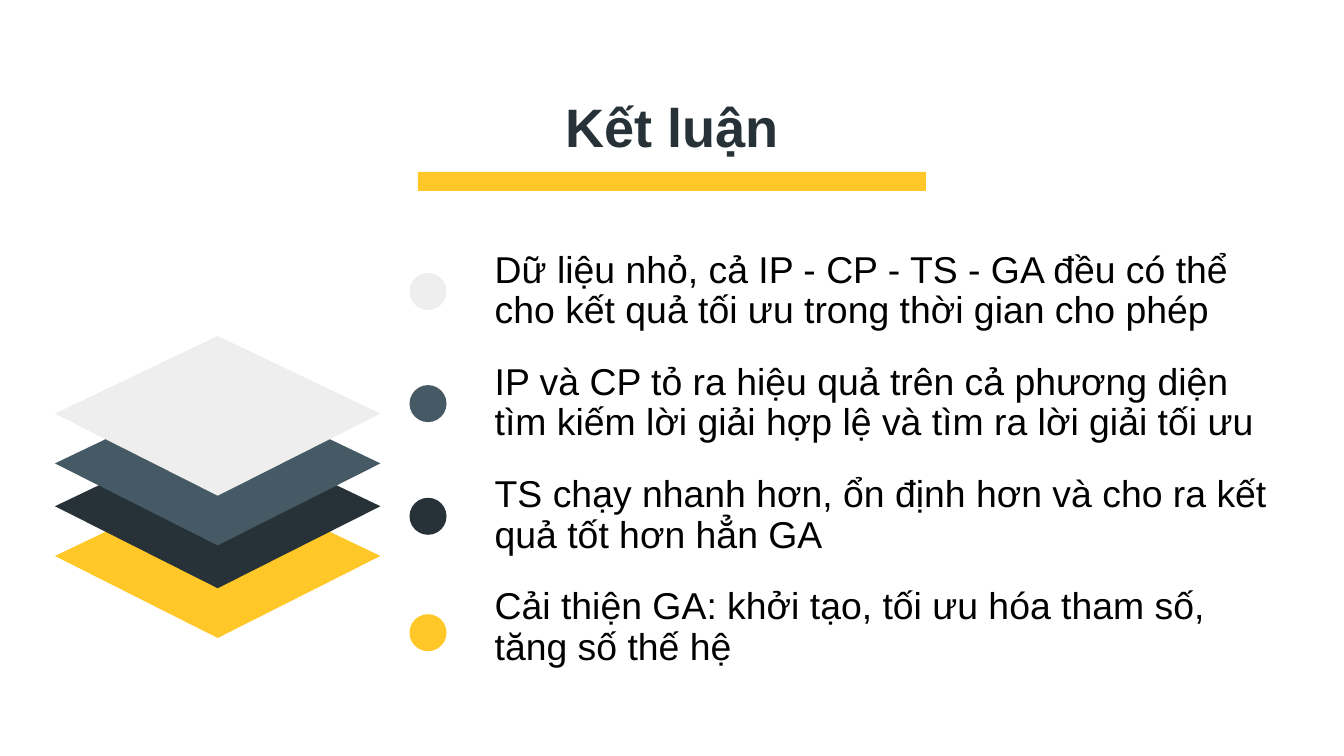
"""Build the conclusion slide: a stack of four layers with four findings."""
from dataclasses import dataclass

from pptx import Presentation
from pptx.dml.color import RGBColor
from pptx.enum.shapes import MSO_SHAPE
from pptx.enum.text import MSO_ANCHOR, MSO_AUTO_SIZE, PP_ALIGN
from pptx.util import Cm, Pt

RECT, OVAL = MSO_SHAPE.RECTANGLE, MSO_SHAPE.OVAL
MIDDLE, NO_FIT = MSO_ANCHOR.MIDDLE, MSO_AUTO_SIZE.NONE
LEFT, CENTER = PP_ALIGN.LEFT, PP_ALIGN.CENTER
TITLE_ONLY = 5


@dataclass(frozen=True)
class Theme:
    """Colours, font and type sizes of the slide."""
    font: str = "Arial"
    title_size: int = 29
    body_size: int = 20
    black: str = "000000"
    dark: str = "263238"
    slate: str = "455A64"
    light: str = "EEEEEE"
    yellow: str = "FFC727"


THEME = Theme()
TEXT_TOP, TEXT_STEP = 4.57, 2.12
ITEMS = [
    (THEME.light, 6.35, 5.16,
     "Dữ liệu nhỏ, cả IP - CP - TS - GA đều có thể cho kết quả tối ưu trong thời gian cho phép"),
    (THEME.slate, 7.29, 7.28,
     "IP và CP tỏ ra hiệu quả trên cả phương diện tìm kiếm lời giải hợp lệ và tìm ra lời giải tối ưu"),
    (THEME.dark, 8.1, 9.41,
     "TS chạy nhanh hơn, ổn định hơn và cho ra kết quả tốt hơn hẳn GA"),
    (THEME.yellow, 9.04, 11.61,
     "Cải thiện GA: khởi tạo, tối ưu hóa tham số, tăng số thế hệ"),
]


def apply(obj, formats):
    """Set each attribute named in formats on obj."""
    for name, value in formats.items():
        setattr(obj, name, value)


def paint(sp, color):
    """Give a shape a plain fill without line or shadow."""
    sp.shadow.inherit = False
    sp.fill.solid()
    sp.fill.fore_color.rgb = RGBColor.from_string(color)
    sp.line.fill.background()


def add_shape(s, kind, box, color):
    """Add a filled preset shape; box is in centimetres."""
    paint(s.shapes.add_shape(kind, *map(Cm, box)), color)


def add_layer(s, top, color):
    """Add one diamond layer of the stack."""
    left, width, shoulder, height = 1.04, 6.15, 1.47, 3.02
    middle = left + width / 2
    points = [(middle, top), (left, top + shoulder),
              (middle, top + height), (left + width, top + shoulder)]
    start, *rest = [(Cm(x), Cm(y)) for x, y in points]
    builder = s.shapes.build_freeform(*start)
    builder.add_line_segments(rest, close=True)
    paint(builder.convert_to_shape(), color)


def write(sp, text, paragraph, font, color):
    """Fill a text shape with one formatted paragraph."""
    tf = sp.text_frame
    inset = Cm(0.25)
    apply(tf, {"word_wrap": True, "auto_size": NO_FIT, "vertical_anchor": MIDDLE,
               "margin_left": inset, "margin_right": inset,
               "margin_top": inset, "margin_bottom": inset})
    p = tf.paragraphs[0]
    apply(p, paragraph)
    r = p.add_run()
    r.text = text
    apply(r.font, {"name": THEME.font, **font})
    r.font.color.rgb = RGBColor.from_string(color)


def add_title(s, text):
    """Place and format the title with its underline bar."""
    title = s.shapes.title
    apply(title, {"left": Cm(1.88), "top": Cm(1.47),
                  "width": Cm(21.64), "height": Cm(1.8)})
    write(title, text, {"alignment": CENTER, "line_spacing": 1.0},
          {"size": Pt(THEME.title_size), "bold": True}, THEME.dark)
    add_shape(s, RECT, (7.9, 3.25, 9.6, 0.36), THEME.yellow)


def add_finding(s, top, text):
    """Add the text of one finding."""
    sp = s.shapes.add_textbox(Cm(9.1), Cm(top), Cm(15.24), Cm(1.88))
    write(sp, text, {"alignment": LEFT, "line_spacing": 0.9},
          {"size": Pt(THEME.body_size)}, THEME.black)


def main():
    """Build and save the slide."""
    prs = Presentation()
    apply(prs, {"slide_width": Cm(25.4), "slide_height": Cm(14.29)})
    s = prs.slides.add_slide(prs.slide_layouts[TITLE_ONLY])
    add_title(s, "Kết luận")
    for color, layer_top, dot_top, _ in reversed(ITEMS):
        add_layer(s, layer_top, color)
        add_shape(s, OVAL, (7.74, dot_top, 0.7, 0.7), color)
    for i, (*_, text) in enumerate(ITEMS):
        add_finding(s, TEXT_TOP + i * TEXT_STEP, text)
    prs.save("out.pptx")


if __name__ == "__main__":
    main()
